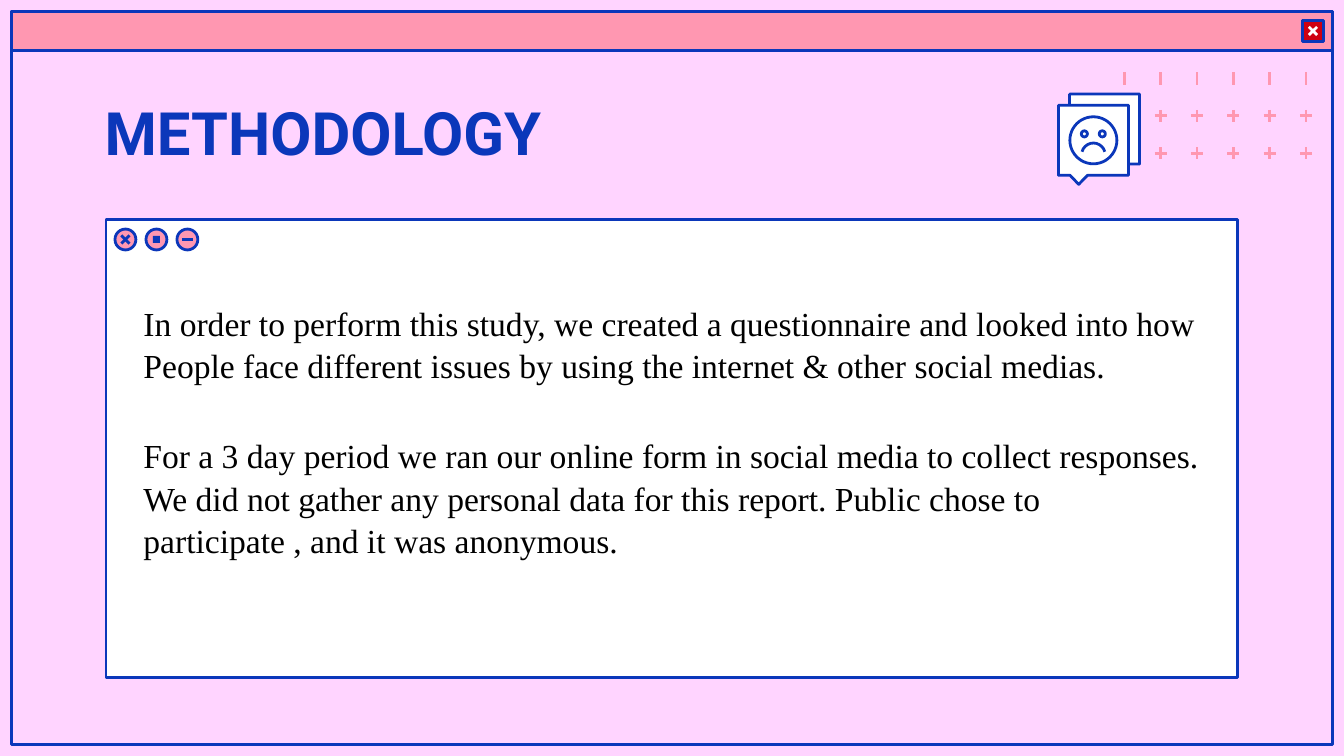
from dataclasses import dataclass

from lxml import etree
from pptx import Presentation
from pptx.dml.color import RGBColor
from pptx.enum.shapes import MSO_CONNECTOR, MSO_SHAPE
from pptx.enum.text import MSO_ANCHOR
from pptx.oxml.ns import qn
from pptx.util import Pt

RECT = MSO_SHAPE.RECTANGLE
OVAL = MSO_SHAPE.OVAL
ARC = MSO_SHAPE.ARC
CALL = MSO_SHAPE.RECTANGULAR_CALLOUT
STRAIGHT = MSO_CONNECTOR.STRAIGHT
TOP = MSO_ANCHOR.TOP


@dataclass(frozen=True)
class Theme:
    page: str = "FFD4FF"
    blue: str = "0B37BA"
    pink: str = "FF97B1"
    red: str = "CF0011"
    white: str = "FFFFFF"
    black: str = "000000"
    head: str = "Roboto"
    body: str = "Times New Roman"
    big: float = 32
    text: float = 18
    line: float = 1.5


T = Theme()
BODY = [
    "In order to perform this study, we created a questionnaire and looked into how "
    "People face different issues by using the internet & other social medias.",
    "For a 3 day period we ran our online form in social media to collect responses. "
    "We did not gather any personal data for this report. Public chose to "
    "participate , and it was anonymous.",
]


def rgb(code):
    return RGBColor.from_string(code)


def put(obj, style):
    for name, value in style.items():
        setattr(obj, name, value)


def draw(slide, kind, box, fill=None, line=T.blue, adj=()):
    shape = slide.shapes.add_shape(kind, *map(Pt, box))
    shape.shadow.inherit = False
    if fill:
        shape.fill.solid()
        shape.fill.fore_color.rgb = rgb(fill)
    else:
        shape.fill.background()
    if line:
        shape.line.color.rgb = rgb(line)
        shape.line.width = Pt(T.line)
    else:
        shape.line.fill.background()
    for i, value in enumerate(adj):
        shape.adjustments[i] = value
    return shape


def disc(slide, x, y, size, kind=OVAL, **style):
    box = (x - size / 2, y - size / 2, size, size)
    return draw(slide, kind, box, **style)


def stroke(slide, x, y, dx, dy, color):
    ends = (x - dx, y - dy, x + dx, y + dy)
    rule = slide.shapes.add_connector(STRAIGHT, *map(Pt, ends))
    rule.line.color.rgb = rgb(color)
    rule.line.width = Pt(T.line)
    etree.SubElement(rule._element.spPr, qn("a:effectLst"))


def cross(slide, x, y, half, color):
    for dy in (half, -half):
        stroke(slide, x, y, half, dy, color)


def frame(slide, box):
    x, y, w, h = box
    draw(slide, RECT, box)
    draw(slide, RECT, (x, y, w, 20.9), fill=T.pink)
    mid = (x + w - 10.4, y + 10.4)
    disc(slide, *mid, 11.2, kind=RECT, fill=T.red)
    cross(slide, *mid, 2.2, T.white)


def ticks(slide, box):
    x, y, w, h = box
    cols, rows, half = 6, 3, 3.25
    for row in range(rows):
        for col in range(1 if row else 0, cols):
            mid = (x + col * w / (cols - 1), y + row * h / (rows - 1))
            stroke(slide, *mid, 0, half, T.pink)
            if row:
                stroke(slide, *mid, half, 0, T.pink)


def panel(slide, box):
    x, y, w, h = box
    draw(slide, RECT, box, fill=T.white)
    shut, full, hide = [(x + 10.4 + i * 16.6, y + 10.7) for i in range(3)]
    for mid in (shut, full, hide):
        disc(slide, *mid, 11.2, fill=T.pink)
    cross(slide, *shut, 2.2, T.blue)
    disc(slide, *full, 3.8, kind=RECT, fill=T.blue, line=None)
    stroke(slide, *hide, 3, 0, T.blue)


def badge(slide, box):
    x, y, w, h = box
    size, gap = 37.5, w - 37.5
    for left, top in ((x + gap, y), (x, y + gap)):
        draw(slide, CALL, (left, top, size, size), fill=T.white, adj=(-0.21, 0.63))
    cx, cy = x + size / 2, y + gap + size / 2
    disc(slide, cx, cy, 25.2)
    for dx in (-4.8, 4.8):
        disc(slide, cx + dx, cy - 3.4, 3.3)
    turn = 0.6
    disc(slide, cx, cy + 7.8, 12.6, kind=ARC, adj=(195 * turn, 345 * turn))


def words(slide, box, lines, font, color, spacing=1.0, gap=0, inset=3.6):
    frame = slide.shapes.add_textbox(*map(Pt, box)).text_frame
    put(frame, {
        "word_wrap": True, "vertical_anchor": TOP,
        "margin_left": Pt(7.2), "margin_right": Pt(7.2),
        "margin_top": Pt(inset), "margin_bottom": Pt(inset),
    })
    for i, line in enumerate(lines):
        para = frame.paragraphs[0] if i == 0 else frame.add_paragraph()
        put(para, {"line_spacing": spacing, "space_before": Pt(gap if i else 0)})
        run = para.add_run()
        run.text = line
        put(run.font, font)
        run.font.color.rgb = rgb(color)


def title(slide, box):
    font = {"name": T.head, "size": Pt(T.big), "bold": True}
    words(slide, box, ["METHODOLOGY"], font, T.blue, inset=7.2)


def story(slide, box):
    font = {"name": T.body, "size": Pt(T.text)}
    words(slide, box, BODY, font, T.black, spacing=1.05, gap=25.5)


def main():
    deck = Presentation()
    put(deck, {"slide_width": Pt(720), "slide_height": Pt(405)})
    slide = deck.slides.add_slide(deck.slide_layouts[6])
    slide.background.fill.solid()
    slide.background.fill.fore_color.rgb = rgb(T.page)
    frame(slide, (6.2, 6.2, 707.6, 392.7))
    ticks(slide, (602.4, 42.1, 97.2, 40))
    panel(slide, (56.8, 117.6, 606.4, 245.4))
    title(slide, (49, 43.9, 498, 46.8))
    badge(slide, (567, 50.4, 43.5, 43.5))
    story(slide, (69.8, 157.7, 584, 197.3))
    deck.save("out.pptx")


if __name__ == "__main__":
    main()
